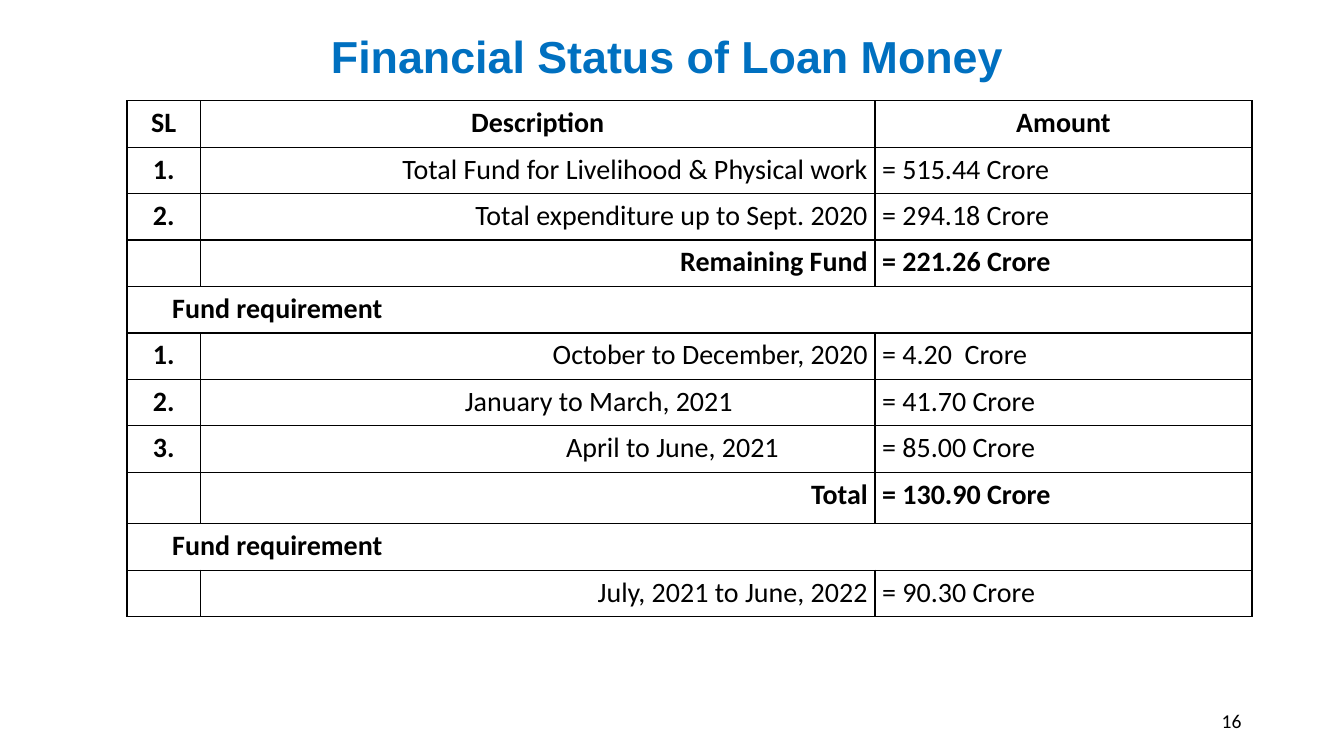
from lxml.etree import SubElement
from pptx import Presentation
from pptx.dml.color import RGBColor
from pptx.enum.text import MSO_ANCHOR, PP_ALIGN
from pptx.oxml.ns import qn
from pptx.util import Cm, Pt

COLOURS = {"title": "0070C0", "text": "000000", "border": "000000", "cell": "FFFFFF"}
COLUMN_WIDTHS = [1.85, 17.0, 9.5]
ROW_HEIGHT = 1.17
TOTAL_ROW_HEIGHT = 1.3
SIDE_MARGIN = 0.18
SECTION_MARGIN = 1.14
ALIGNMENTS = [PP_ALIGN.CENTER, PP_ALIGN.RIGHT, PP_ALIGN.LEFT]

FUND_ROWS = [
    ("SL", "Description", "Amount"),
    ("1.", "Total Fund for Livelihood & Physical work", "= 515.44 Crore"),
    ("2.", "Total expenditure up to Sept. 2020", "= 294.18 Crore"),
    ("", "Remaining Fund", "= 221.26 Crore"),
    ("Fund requirement",),
    ("1.", "October to December, 2020", "= 4.20  Crore"),
    ("2.", "January to March, 2021", "= 41.70 Crore"),
    ("3.", "April to June, 2021", "= 85.00 Crore"),
    ("", "Total", "= 130.90 Crore"),
    ("Fund requirement",),
    ("", "July, 2021 to June, 2022", "= 90.30 Crore"),
]
BOLD_DESCRIPTIONS = {"Description", "Remaining Fund", "Total"}
RIGHT_MARGINS = {"January to March, 2021": 3.58, "April to June, 2021": 2.42}


def apply_format(target, values):
    for name, value in values.items():
        setattr(target, name, value)


class SlideBuilder:
    def __init__(self, slide):
        self.slide = slide

    def add_styled_run(self, paragraph, text, alignment, colour="text", **font_values):
        paragraph.alignment = alignment
        run = paragraph.add_run()
        run.text = text
        apply_format(run.font, font_values)
        run.font.color.rgb = RGBColor.from_string(COLOURS[colour])

    def add_text(self, text, left, top, width, height, alignment, wrap=True, **style):
        box = self.slide.shapes.add_textbox(Cm(left), Cm(top), Cm(width), Cm(height))
        apply_format(box.text_frame, {"word_wrap": wrap, "vertical_anchor": MSO_ANCHOR.MIDDLE})
        self.add_styled_run(box.text_frame.paragraphs[0], text, alignment, **style)

    def style_cell(self, cell):
        properties = cell._tc.get_or_add_tcPr()
        for side in ("lnL", "lnR", "lnT", "lnB"):
            line = SubElement(properties, qn(f"a:{side}"), w=str(Pt(1)))
            fill = SubElement(line, qn("a:solidFill"))
            SubElement(fill, qn("a:srgbClr"), val=COLOURS["border"])
        cell.fill.solid()
        cell.fill.fore_color.rgb = RGBColor.from_string(COLOURS["cell"])
        apply_format(cell, {
            "margin_left": Cm(SIDE_MARGIN), "margin_right": Cm(SIDE_MARGIN),
            "margin_top": 0, "margin_bottom": 0,
        })

    def fill_cell(self, cell, text, alignment, bold):
        paragraph = cell.text_frame.paragraphs[0]
        apply_format(paragraph, {"line_spacing": 1.15, "space_after": Pt(6)})
        self.add_styled_run(paragraph, text, alignment, name="Calibri", size=Pt(20), bold=bold)

    def add_fund_table(self, rows, left, top):
        heights = [TOTAL_ROW_HEIGHT if "Total" in row else ROW_HEIGHT for row in rows]
        table = self.slide.shapes.add_table(
            len(rows), len(COLUMN_WIDTHS), Cm(left), Cm(top),
            Cm(sum(COLUMN_WIDTHS)), Cm(sum(heights))).table
        apply_format(table, {"first_row": False, "horz_banding": False})
        for column, width in zip(table.columns, COLUMN_WIDTHS):
            column.width = Cm(width)
        for index, (row, height) in enumerate(zip(rows, heights)):
            table.rows[index].height = Cm(height)
            cells = list(table.rows[index].cells)
            for cell in cells:
                self.style_cell(cell)
            if len(row) == 1:
                cells[0].merge(cells[-1])
                cells[0].margin_left = Cm(SECTION_MARGIN)
                self.fill_cell(cells[0], row[0], PP_ALIGN.LEFT, True)
                continue
            description = row[1]
            cells[1].margin_right = Cm(RIGHT_MARGINS.get(description, SIDE_MARGIN))
            for position, (cell, text) in enumerate(zip(cells, row)):
                if text:
                    alignment = PP_ALIGN.CENTER if index == 0 else ALIGNMENTS[position]
                    bold = position == 0 or description in BOLD_DESCRIPTIONS
                    self.fill_cell(cell, text, alignment, bold)


def main():
    presentation = Presentation()
    apply_format(presentation, {"slide_width": Cm(33.87), "slide_height": Cm(19.05)})
    builder = SlideBuilder(presentation.slides.add_slide(presentation.slide_layouts[6]))
    builder.add_text("16", 23.92, 17.66, 7.62, 1.01, PP_ALIGN.RIGHT,
                     name="Calibri", size=Pt(14))
    builder.add_fund_table(FUND_ROWS, 3.2, 2.54)
    builder.add_text("Financial Status of Loan Money", 7.67, 0.6, 18.3, 1.62, PP_ALIGN.CENTER,
                     wrap=False, colour="title", name="Arial", size=Pt(32), bold=True)
    presentation.save("out.pptx")


if __name__ == "__main__":
    main()
